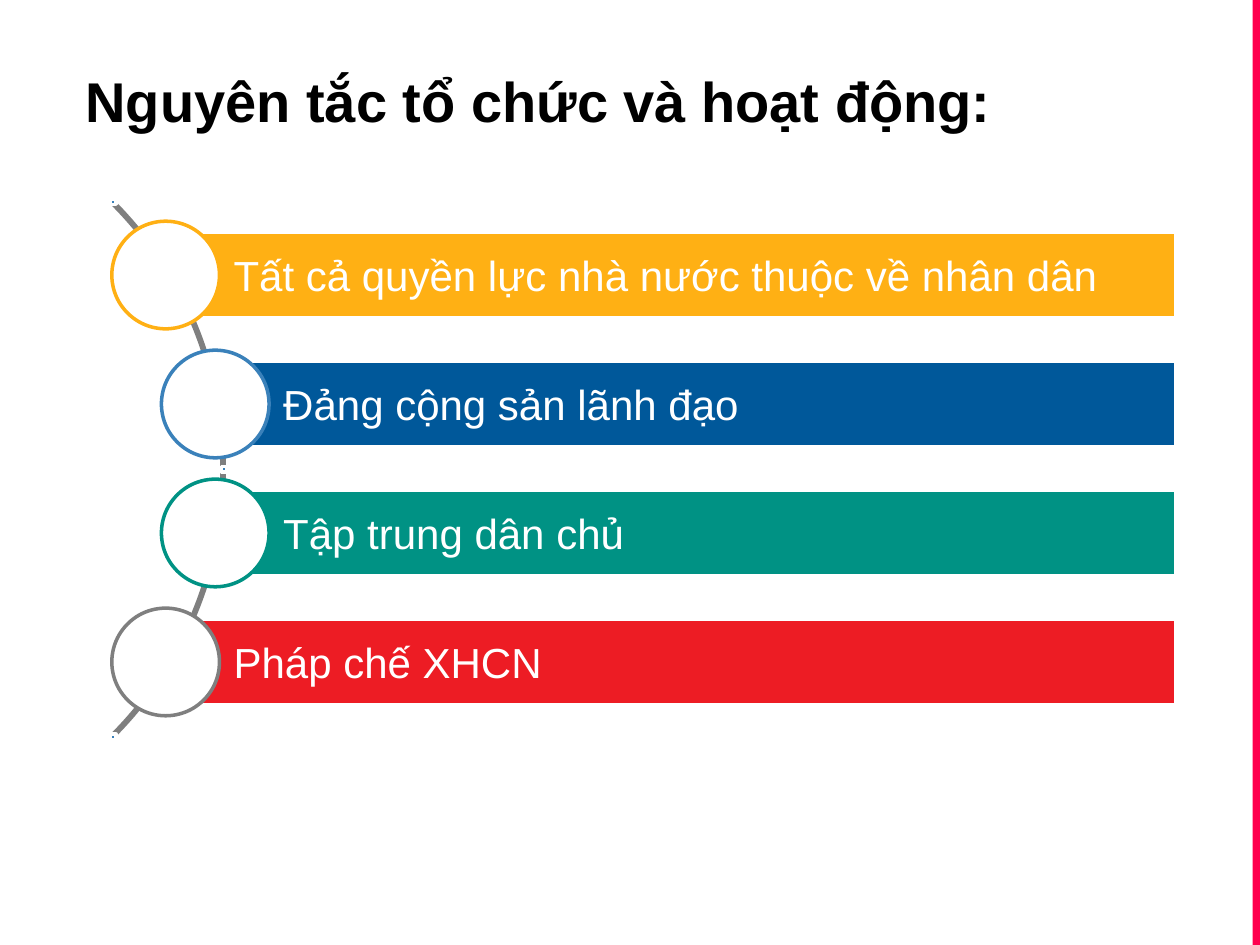
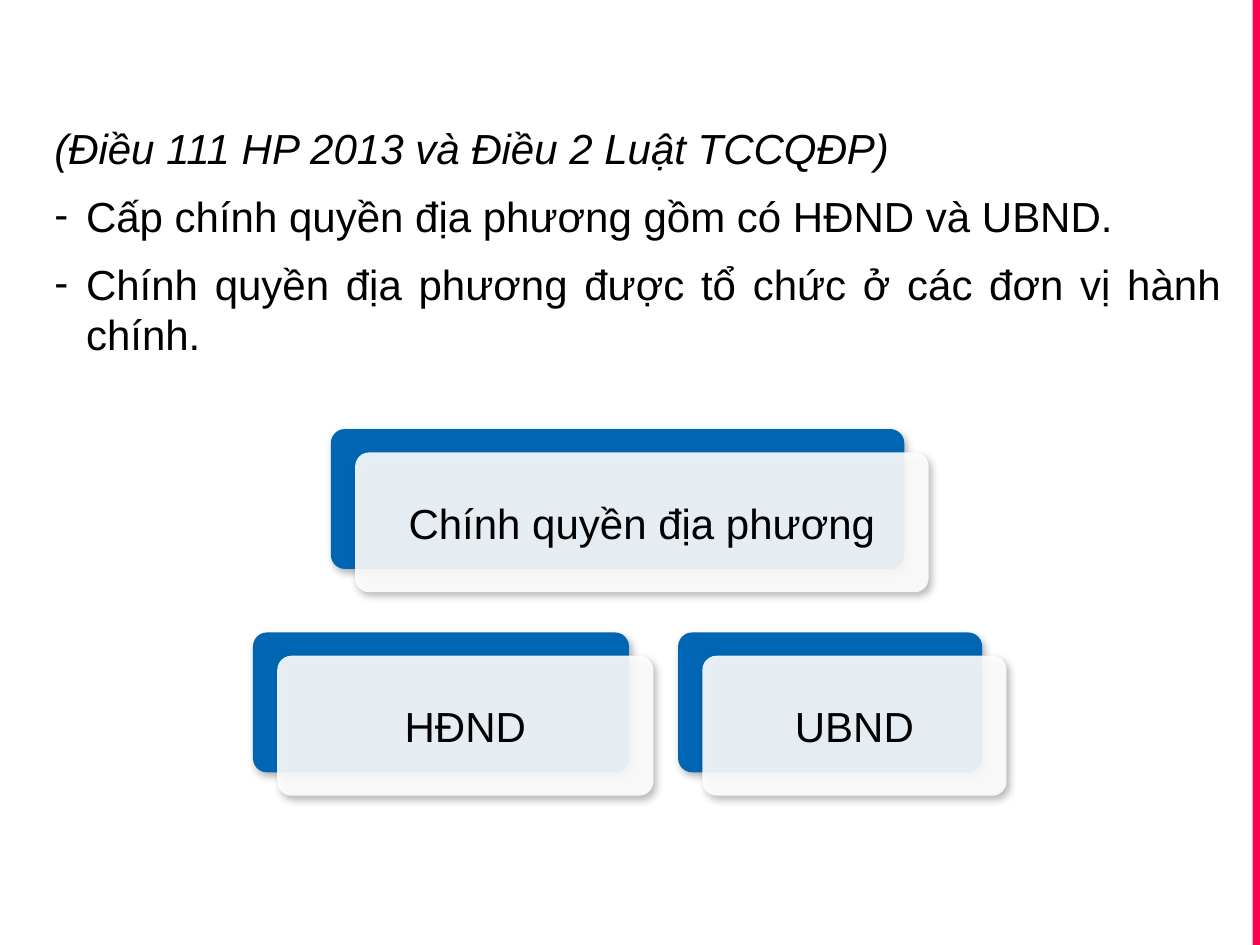
import math

from lxml import etree
from pptx import Presentation
from pptx.dml.color import RGBColor
from pptx.enum.shapes import MSO_SHAPE
from pptx.enum.text import MSO_ANCHOR, MSO_AUTO_SIZE, PP_ALIGN
from pptx.oxml.ns import qn
from pptx.util import Cm, Pt

RECT = MSO_SHAPE.RECTANGLE
ROUNDED = MSO_SHAPE.ROUNDED_RECTANGLE
OVAL = MSO_SHAPE.OVAL
BLOCK_ARC = MSO_SHAPE.BLOCK_ARC
TOP, MIDDLE = MSO_ANCHOR.TOP, MSO_ANCHOR.MIDDLE
LEFT, CENTER, JUSTIFY = PP_ALIGN.LEFT, PP_ALIGN.CENTER, PP_ALIGN.JUSTIFY
NO_AUTOFIT = MSO_AUTO_SIZE.NONE

COLORS = {
    "text": "000000",
    "white": "FFFFFF",
    "band": "FF004E",
    "gray": "7F7F7F",
    "amber": "FFB014",
    "navy": "00589A",
    "sky": "3A81BA",
    "teal": "009284",
    "red": "ED1C24",
    "card": "0066B3",
}
FONT = "Arial"
SLIDE_W, SLIDE_H = 25.4, 19.05
BAND_W = 0.15

PRINCIPLES = [
    ("Tất cả quyền lực nhà nước thuộc về nhân dân", 3.34, "amber", "amber"),
    ("Đảng cộng sản lãnh đạo", 4.34, "navy", "sky"),
    ("Tập trung dân chủ", 4.34, "teal", "teal"),
    ("Pháp chế XHCN", 3.34, "red", "gray"),
]
BAR_TOP, BAR_STEP, BAR_H, BAR_RIGHT = 4.68, 2.6, 1.73, 23.71
CIRCLE = 2.17
ARC_X, ARC_Y, ARC_RADIUS = -3.11, 9.46, 7.63
DOT = 0.11

PROVISIONS = [
    "Cấp chính quyền địa phương gồm có HĐND và UBND.",
    "Chính quyền địa phương được tổ chức ở các đơn vị hành chính.",
]
CARDS = [
    ("Chính quyền địa phương", 6.67, 8.65, 11.56),
    ("HĐND", 5.1, 12.75, 7.58),
    ("UBND", 13.67, 12.75, 6.13),
]
CARD_H, CARD_DX, CARD_DY = 2.82, 0.49, 0.47


def rgb(name):
    return RGBColor.from_string(COLORS[name])


def add_block(slide, kind, left, top, width, height, fill=None, outline=None):
    block = slide.shapes.add_shape(kind, Cm(left), Cm(top), Cm(width), Cm(height))
    block.shadow.inherit = False
    if fill:
        block.fill.solid()
        block.fill.fore_color.rgb = rgb(fill)
    else:
        block.fill.background()
    if outline:
        block.line.color.rgb = rgb(outline)
        block.line.width = Pt(2)
    else:
        block.line.fill.background()
    return block


def set_font(paragraph, size, color="text", bold=False, italic=False):
    font = paragraph.font
    font.name = FONT
    font.size = Pt(size)
    font.bold = bold
    font.italic = italic
    font.color.rgb = rgb(color)


def write_label(block, words, color, align, left_inset, inset):
    frame = block.text_frame
    frame.word_wrap = True
    frame.vertical_anchor = MIDDLE
    frame.margin_left = Cm(left_inset)
    frame.margin_top = frame.margin_right = frame.margin_bottom = Cm(inset)
    label = frame.paragraphs[0]
    label.text = words
    label.alignment = align
    set_font(label, 24, color)


def place_frame(placeholder, left, top, width, height):
    placeholder.left, placeholder.top = Cm(left), Cm(top)
    placeholder.width, placeholder.height = Cm(width), Cm(height)
    frame = placeholder.text_frame
    frame.word_wrap = True
    frame.auto_size = NO_AUTOFIT
    frame.vertical_anchor = TOP
    return frame


def set_bullet(paragraph, mark, indent):
    properties = paragraph._p.get_or_add_pPr()
    properties.set("marL", str(Cm(indent)))
    properties.set("indent", str(-Cm(indent)))
    if mark:
        etree.SubElement(properties, qn("a:buChar"), char=mark)
    else:
        etree.SubElement(properties, qn("a:buNone"))


def set_card_shadow(card):
    effects = card._element.spPr.find(qn("a:effectLst"))
    shadow = etree.SubElement(
        effects, qn("a:outerShdw"), blurRad=str(Pt(4.5)), dist=str(Pt(2.6)),
        dir=str(53 * 60000), algn="tl", rotWithShape="0",
    )
    color = etree.SubElement(shadow, qn("a:srgbClr"), val=COLORS["text"])
    etree.SubElement(color, qn("a:alpha"), val="30000")


def set_opacity(block, percent):
    color = block._element.spPr.find(qn("a:solidFill")).find(qn("a:srgbClr"))
    etree.SubElement(color, qn("a:alpha"), val=str(percent * 1000))


def add_master_band(prs, slide):
    band = add_block(slide, RECT, SLIDE_W - BAND_W, 0, BAND_W, SLIDE_H, "band")
    band.element.nvSpPr.cNvPr.set("id", "20")
    prs.slide_master.shapes.element.insert(2, band.element)


def add_arc(slide):
    arc = add_block(slide, BLOCK_ARC, ARC_X - ARC_RADIUS, ARC_Y - ARC_RADIUS,
                    2 * ARC_RADIUS, 2 * ARC_RADIUS, outline="gray")
    for index, value in enumerate((189, 27, 0.003)):
        arc.adjustments[index] = value


def add_principle(slide, top, words, left, fill, ring):
    bar = add_block(slide, RECT, left, top, BAR_RIGHT - left, BAR_H, fill, "white")
    write_label(bar, words, "white", LEFT, 1.37, 0.18)
    add_block(slide, OVAL, left - CIRCLE / 2, top + (BAR_H - CIRCLE) / 2,
              CIRCLE, CIRCLE, "white", ring)


def add_arc_dot(slide, degrees):
    angle = math.radians(degrees)
    x = ARC_X + ARC_RADIUS * math.cos(angle)
    y = ARC_Y + ARC_RADIUS * math.sin(angle)
    add_block(slide, RECT, x - DOT / 2, y - DOT / 2, DOT, DOT, "sky", "white")


def add_card(slide, words, left, top, width):
    back = add_block(slide, ROUNDED, left, top, width, CARD_H, "card")
    front = add_block(slide, ROUNDED, left + CARD_DX, top + CARD_DY,
                      width, CARD_H, "white")
    for card in (back, front):
        card.adjustments[0] = 0.1
        set_card_shadow(card)
    set_opacity(front, 90)
    write_label(front, words, "text", CENTER, 0.25, 0.25)


def build_principles(slide):
    frame = place_frame(slide.shapes.title, 1.47, 1.47, 22.86, 2.2)
    heading = frame.paragraphs[0]
    heading.text = "Nguyên tắc tổ chức và hoạt động:"
    heading.alignment = JUSTIFY
    heading.line_spacing = 0.8
    heading.space_before = Pt(0)
    set_font(heading, 32, bold=True)

    add_arc(slide)
    for row, principle in enumerate(PRINCIPLES):
        add_principle(slide, BAR_TOP + row * BAR_STEP, *principle)
    for degrees in (-45, 0, 45):
        add_arc_dot(slide, degrees)


def build_local_government(slide):
    title = slide.shapes.title.element
    title.getparent().remove(title)
    frame = place_frame(slide.placeholders[1], 0.84, 2.34, 24.03, 4.88)
    citation = frame.paragraphs[0]
    citation.text = "(Điều 111 HP 2013 và Điều 2 Luật TCCQĐP)"
    citation.space_before = Pt(0)
    set_bullet(citation, None, 0)
    set_font(citation, 24, italic=True)
    for words in PROVISIONS:
        provision = frame.add_paragraph()
        provision.text = words
        provision.alignment = JUSTIFY
        provision.space_before = Pt(10)
        set_bullet(provision, "-", 0.64)
        set_font(provision, 24)

    for card in CARDS:
        add_card(slide, *card)


def main():
    prs = Presentation()
    prs.slide_width, prs.slide_height = Cm(SLIDE_W), Cm(SLIDE_H)
    principles = prs.slides.add_slide(prs.slide_layouts[5])
    add_master_band(prs, principles)
    build_principles(principles)
    build_local_government(prs.slides.add_slide(prs.slide_layouts[1]))
    prs.save("out.pptx")


if __name__ == "__main__":
    main()
